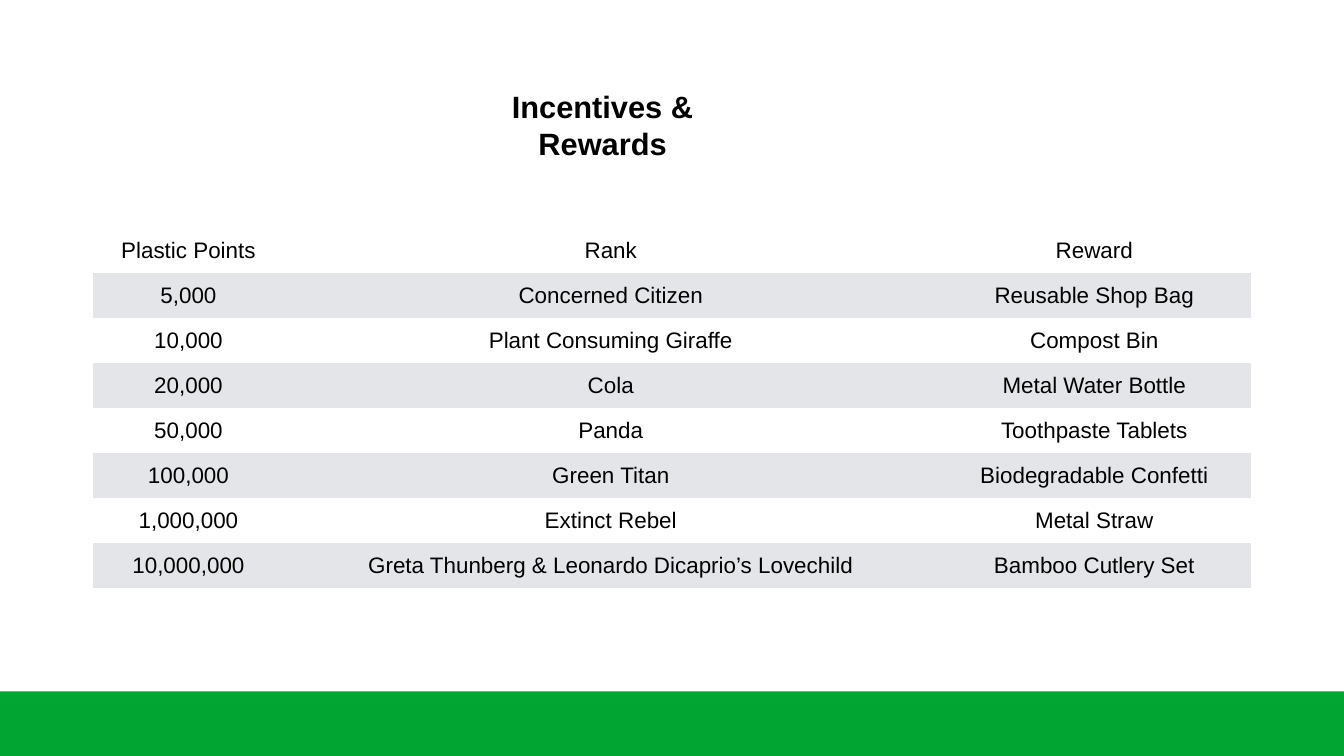
from pptx import Presentation
from pptx.dml.color import RGBColor
from pptx.enum.shapes import MSO_SHAPE
from pptx.enum.text import MSO_ANCHOR, MSO_AUTO_SIZE, PP_ALIGN
from pptx.util import Cm, Pt

HEADING = "Incentives & Rewards"
REWARDS = [
    ("Plastic Points", "Rank", "Reward"),
    ("5,000", "Concerned Citizen", "Reusable Shop Bag"),
    ("10,000", "Plant Consuming Giraffe", "Compost Bin"),
    ("20,000", "Cola", "Metal Water Bottle"),
    ("50,000", "Panda", "Toothpaste Tablets"),
    ("100,000", "Green Titan", "Biodegradable Confetti"),
    ("1,000,000", "Extinct Rebel", "Metal Straw"),
    ("10,000,000", "Greta Thunberg & Leonardo Dicaprio’s Lovechild", "Bamboo Cutlery Set"),
]
COLUMN_WIDTHS = (9.6, 32.97, 15.77)
ROW_HEIGHT = 2.27
BAND_FILLS = ("FFFFFF", "E3E5E8")
GREEN = "00A532"
BLACK = "000000"
INSET = Cm(0.15)


def paint(fill, color):
    fill.solid()
    fill.fore_color.rgb = RGBColor.from_string(color)


def write(frame, text, size, bold=False):
    frame.text = text
    paragraph = frame.paragraphs[0]
    paragraph.alignment = PP_ALIGN.CENTER
    font = paragraph.font
    font.name, font.size, font.bold = "Arial", Pt(size), bold
    paint(font.fill, color=BLACK)


def add_footer(slide):
    footer = slide.shapes.add_shape(
        MSO_SHAPE.RECTANGLE, Cm(-0.3), Cm(34.85), Cm(68.33), Cm(3.6))
    footer.shadow.inherit = False
    paint(footer.fill, GREEN)
    footer.line.fill.background()


def place_heading(slide):
    heading = slide.shapes.title
    heading.left, heading.top = Cm(25.7), Cm(5.2)
    heading.width, heading.height = Cm(16.33), Cm(2.13)
    frame = heading.text_frame
    frame.word_wrap = True
    frame.auto_size = MSO_AUTO_SIZE.NONE
    frame.vertical_anchor = MSO_ANCHOR.MIDDLE
    frame.margin_left, frame.margin_right = 0, Cm(6.98)
    frame.margin_top = frame.margin_bottom = INSET
    write(frame, HEADING, 44, bold=True)
    frame.paragraphs[0].line_spacing = 1.0


def add_rewards(slide):
    rewards = slide.shapes.add_table(
        len(REWARDS), len(COLUMN_WIDTHS), Cm(4.7), Cm(11.48),
        Cm(sum(COLUMN_WIDTHS)), Cm(ROW_HEIGHT * len(REWARDS))).table
    rewards.first_row = rewards.horz_banding = False
    for column, width in zip(rewards.columns, COLUMN_WIDTHS):
        column.width = Cm(width)
    for r, entries in enumerate(REWARDS):
        rewards.rows[r].height = Cm(ROW_HEIGHT)
        for c, entry in enumerate(entries):
            cell = rewards.cell(r, c)
            paint(cell.fill, BAND_FILLS[r % 2])
            cell.vertical_anchor = MSO_ANCHOR.MIDDLE
            cell.margin_left = cell.margin_right = INSET
            cell.margin_top = cell.margin_bottom = INSET
            write(cell.text_frame, entry, 32)
    tbl_style = rewards._tbl.tblPr.find(
        "{http://schemas.openxmlformats.org/drawingml/2006/main}tableStyleId")
    tbl_style.text = "{2D5ABB26-0587-4C30-8999-92F81FD0307C}"


def main():
    deck = Presentation()
    deck.slide_width, deck.slide_height = Cm(67.74), Cm(38.1)
    slide = deck.slides.add_slide(deck.slide_layouts[5])
    add_footer(slide)
    place_heading(slide)
    add_rewards(slide)
    deck.save("out.pptx")


if __name__ == "__main__":
    main()
